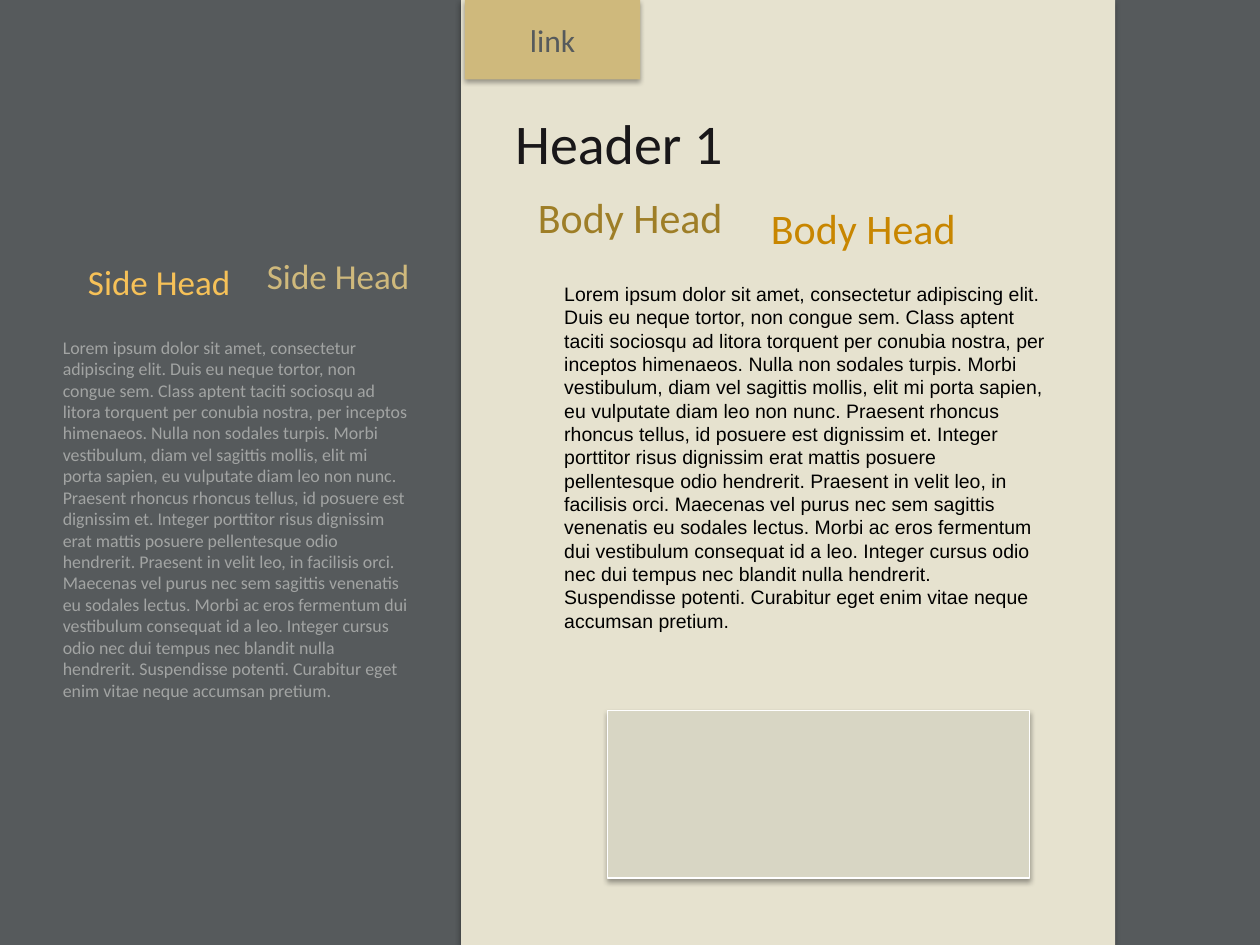
from dataclasses import dataclass

from lxml import etree
from pptx import Presentation
from pptx import util as u
from pptx.dml.color import RGBColor
from pptx.enum import shapes, text
from pptx.oxml.ns import qn


@dataclass(frozen=True)
class Theme:
    slate: str = "565A5C"
    cream: str = "E6E2CF"
    gold: str = "CFB97C"
    amber: str = "F6C158"
    bronze: str = "9E7E27"
    orange: str = "C88600"
    stone: str = "D8D6C4"
    gray: str = "A2A4A3"
    ink: str = "191719"
    black: str = "000000"
    white: str = "FFFFFF"
    sans: str = "Calibri"
    body: str = "Arial"
    title: float = 32
    head: float = 24
    side: float = 20
    link: float = 18
    copy: float = 11.1
    note: float = 10.2


T = Theme()
LOREM = (
    "Lorem ipsum dolor sit amet, consectetur adipiscing elit. Duis eu neque tortor, "
    "non congue sem. Class aptent taciti sociosqu ad litora torquent per conubia nostra, "
    "per inceptos himenaeos. Nulla non sodales turpis. Morbi vestibulum, diam vel sagittis "
    "mollis, elit mi porta sapien, eu vulputate diam leo non nunc. Praesent rhoncus rhoncus "
    "tellus, id posuere est dignissim et. Integer porttitor risus dignissim erat mattis "
    "posuere pellentesque odio hendrerit. Praesent in velit leo, in facilisis orci. Maecenas "
    "vel purus nec sem sagittis venenatis eu sodales lectus. Morbi ac eros fermentum dui "
    "vestibulum consequat id a leo. Integer cursus odio nec dui tempus nec blandit nulla "
    "hendrerit. Suspendisse potenti. Curabitur eget enim vitae neque accumsan pretium. "
)


def inch(*box):
    return [u.Inches(n) for n in box]


def shade(shape):
    shape.shadow.inherit = False
    effects = shape._element.spPr.find(qn("a:effectLst"))
    outer = etree.SubElement(effects, qn("a:outerShdw"), blurRad=str(u.Pt(3.1)),
                             dist=str(u.Pt(1.8)), dir="5400000", rotWithShape="0")
    color = etree.SubElement(outer, qn("a:srgbClr"), val=T.black)
    etree.SubElement(color, qn("a:alpha"), val="35000")


def panel(slide, box, fill, line=None):
    shape = slide.shapes.add_shape(shapes.MSO_SHAPE.RECTANGLE, *inch(*box))
    shape.fill.solid()
    shape.fill.fore_color.rgb = RGBColor.from_string(fill)
    if line:
        shape.line.color.rgb = RGBColor.from_string(line)
        shape.line.width = u.Pt(0.75)
    else:
        shape.line.fill.background()
    shade(shape)
    return shape


def write(shape, words, size, color, face=T.sans):
    shape.text_frame.text = words
    font = shape.text_frame.paragraphs[0].runs[0].font
    font.size = u.Pt(size)
    font.name = face
    font.color.rgb = RGBColor.from_string(color)


def label(slide, box, words, size, color, face=T.sans, wrap=False):
    shape = slide.shapes.add_textbox(*inch(*box))
    frame = shape.text_frame
    frame.word_wrap = wrap
    if not wrap:
        frame.auto_size = text.MSO_AUTO_SIZE.SHAPE_TO_FIT_TEXT
    write(shape, words, size, color, face)


def tab(slide, box):
    shape = panel(slide, box, T.gold)
    write(shape, "link", T.link, T.slate)
    shape.text_frame.vertical_anchor = text.MSO_ANCHOR.MIDDLE
    shape.text_frame.paragraphs[0].alignment = text.PP_ALIGN.CENTER


def sidebar(slide, box):
    x, y, w, h = box
    panel(slide, box, T.slate)
    for dx, dy, color in ((2.02, 1.97, T.gold), (0.6, 2.02, T.amber)):
        label(slide, (x + dx, y + dy, 1.34, 0.44), "Side Head", T.side, color)
    label(slide, (x + 0.4, y + 2.62, 2.96, 2.71), LOREM, T.note, T.gray, wrap=True)


def page(slide, box):
    x, y, w, h = box
    panel(slide, box, T.cream)
    label(slide, (x + 0.33, y + 0.81, 1.86, 0.64), "Header 1", T.title, T.ink)
    for dx, dy, color in ((0.51, 1.47, T.bronze), (2.36, 1.56, T.orange)):
        label(slide, (x + dx, y + dy, 1.68, 0.5), "Body Head", T.head, color)
    label(slide, (x + 0.72, y + 2.19, 4.03, 2.71), LOREM, T.copy, T.black, T.body, True)
    tab(slide, (x + 0.03, y, 1.39, 0.63))
    panel(slide, (x + 1.16, y + 5.64, 3.35, 1.33), T.stone, T.white)


deck = Presentation()
deck.slide_width, deck.slide_height = inch(10, 7.5)
slide = deck.slides.add_slide(deck.slide_layouts[6])
sidebar(slide, (0, 0, 10, 7.5))
page(slide, (3.66, 0, 5.19, 7.5))
deck.save("out.pptx")
